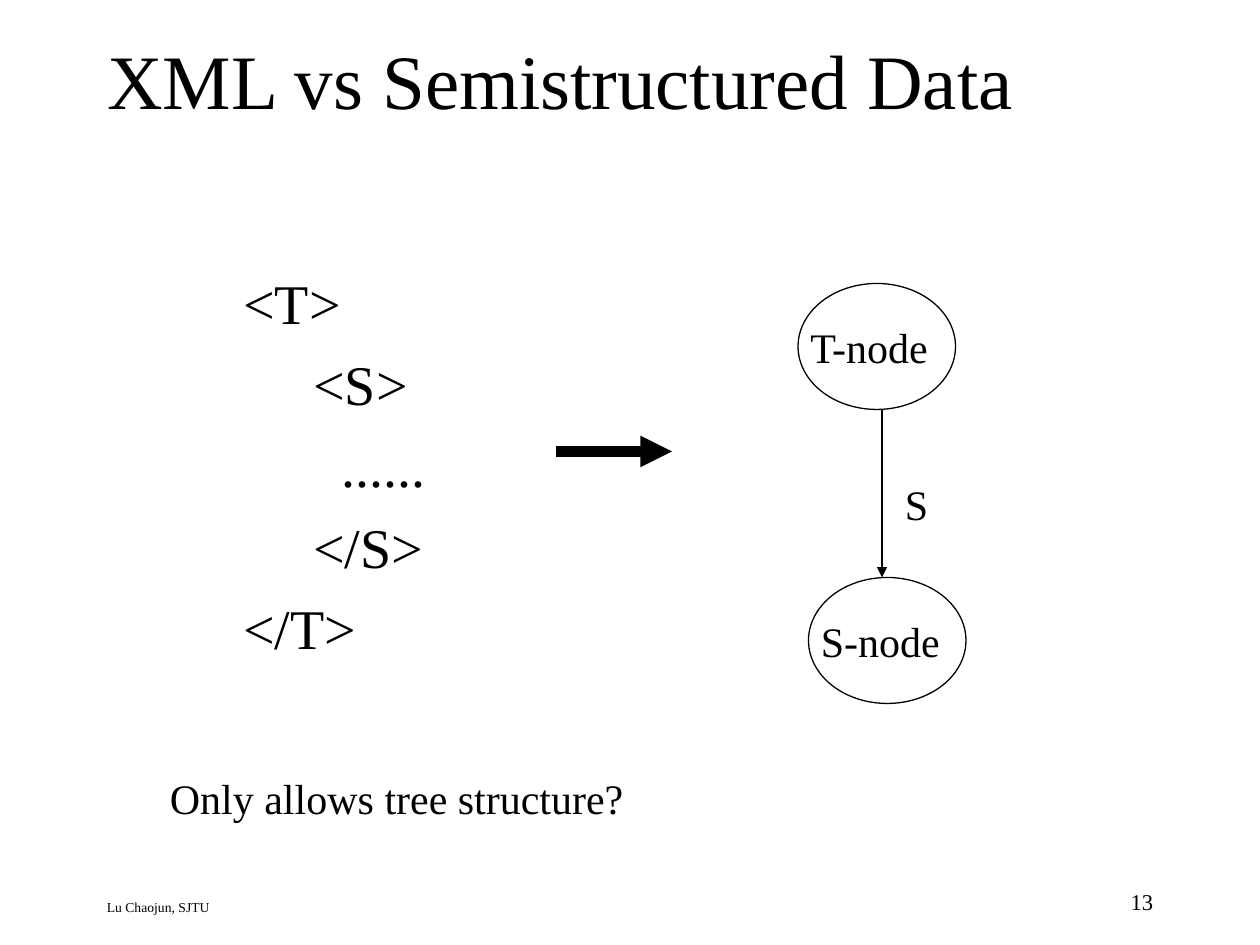
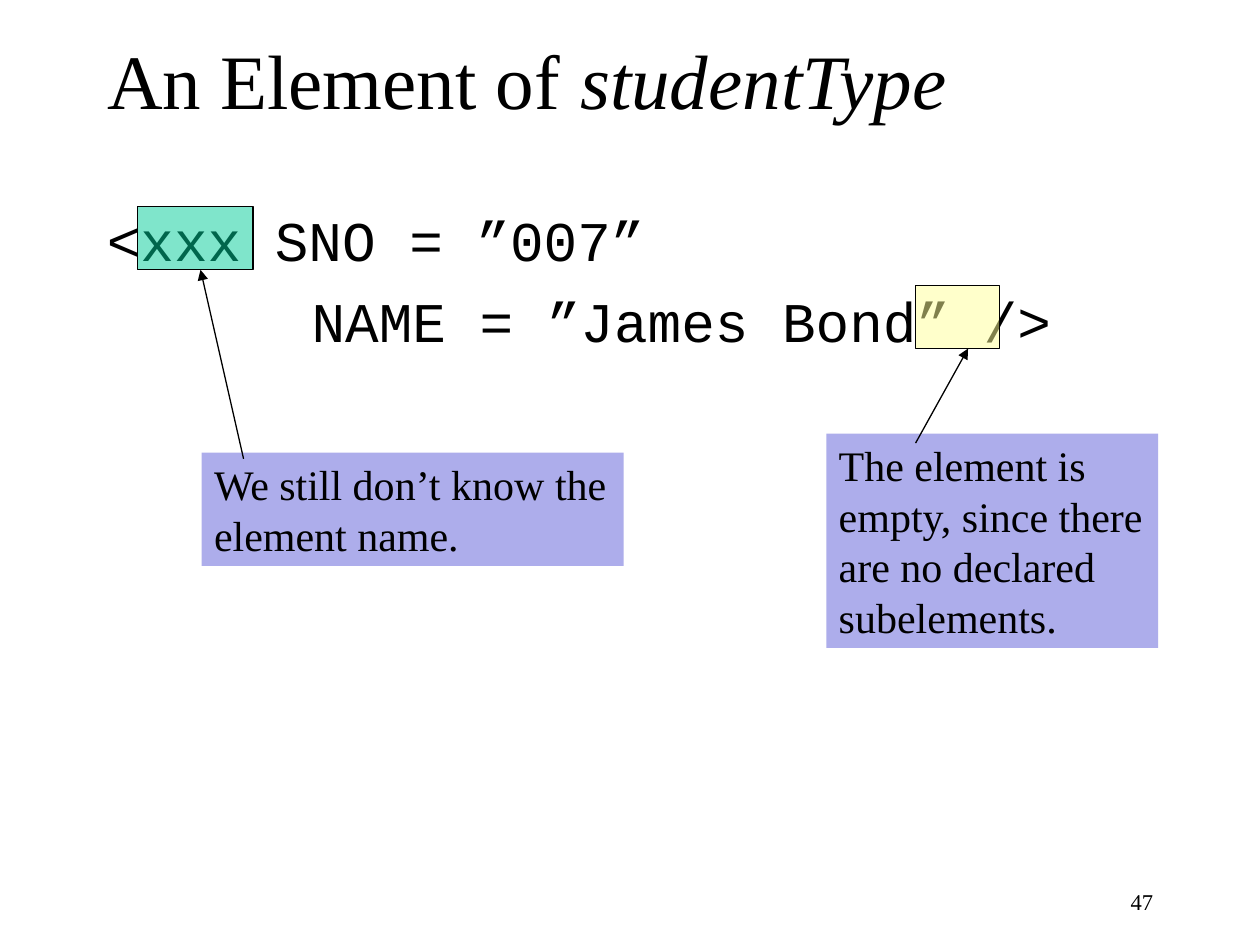
"""Build two slides on XML: semistructured data and a student element."""
from dataclasses import dataclass
from typing import Optional

import pptx
import pptx.dml.color
import pptx.enum.shapes
import pptx.enum.text
import pptx.oxml
import pptx.oxml.ns
import pptx.util

CELL = pptx.util.Inches(1 / 12)
SERIF, MONO = "Times New Roman", "Courier New"
BLACK, WHITE = "000000", "FFFFFF"
CALLOUT, GREEN, YELLOW = "ADADEB", "00CC99", "FFFF99"
TITLE_SIZE, CODE_SIZE, LABEL_SIZE = 44, 32, 24
LINE_PITCH = 1.2
OVAL = pptx.enum.shapes.MSO_SHAPE.OVAL
RECTANGLE = pptx.enum.shapes.MSO_SHAPE.RECTANGLE
LEFT, RIGHT = pptx.enum.text.PP_ALIGN.LEFT, pptx.enum.text.PP_ALIGN.RIGHT


@dataclass(frozen=True)
class Area:
    """Hold a rectangle in grid cells of a twelfth of an inch."""
    column: float
    row: float
    columns: float
    rows: float

    def lengths(self) -> list:
        """Return left, top, width and height as lengths."""
        return [grid(n) for n in (self.column, self.row, self.columns, self.rows)]


@dataclass(frozen=True)
class Line:
    """Hold one line of text and its indent in cells."""
    text: str
    indent: float = 0


@dataclass(frozen=True)
class Style:
    """Hold the look of a block of text."""
    size: float = LABEL_SIZE
    font: str = SERIF
    before: float = 0
    align: int = LEFT
    wrap: bool = True


@dataclass(frozen=True)
class Node:
    """Hold a tree node: its name and top left cell."""
    name: str
    column: float
    row: float


@dataclass(frozen=True)
class Arrow:
    """Hold an arrow from one cell position to another."""
    start: tuple
    end: tuple
    weight: float = 0.75


@dataclass(frozen=True)
class Remark:
    """Hold a callout, the area it marks and the arrow between them."""
    lines: tuple
    area: Area
    mark: Area
    mark_color: str
    arrow: Arrow


LABEL = Style(before=15)
CODE_SERIF = Style(CODE_SIZE, before=8)
CODE_MONO = Style(CODE_SIZE, MONO, before=8)
CALLOUT_TEXT = Style(wrap=False)


def grid(cells: float) -> int:
    """Convert grid cells to a length."""
    return round(cells * CELL)


def color(code: str) -> pptx.dml.color.RGBColor:
    """Convert a hex string to a colour."""
    return pptx.dml.color.RGBColor.from_string(code)


def add_span(para, text: str, size: float, font: str, italic: bool = False) -> None:
    """Add one run to a paragraph."""
    span = para.add_run()
    span.text = text
    span.font.size = pptx.util.Pt(size)
    span.font.name = font
    span.font.italic = italic
    span.font.color.rgb = color(BLACK)


def write(box, lines: tuple, style: Style) -> None:
    """Write lines as paragraphs in a shape."""
    frame = box.text_frame
    frame.word_wrap = style.wrap
    frame.vertical_anchor = pptx.enum.text.MSO_ANCHOR.TOP
    for number, line in enumerate(lines):
        para = frame.add_paragraph() if number else frame.paragraphs[0]
        para.alignment = style.align
        para.space_before = pptx.util.Pt(style.before)
        para.line_spacing = pptx.util.Pt(style.size * LINE_PITCH)
        if line.indent:
            para._p.get_or_add_pPr().set("marL", str(grid(line.indent)))
        add_span(para, line.text, style.size, style.font)


def add_text(page, area: Area, style: Style, *lines: Line) -> None:
    """Add a text box."""
    write(page.shapes.add_textbox(*area.lengths()), lines, style)


def add_figure(page, kind: int, area: Area, fill: str, outlined: bool = True,
               opacity: Optional[int] = None):
    """Add a filled preset shape."""
    figure = page.shapes.add_shape(kind, *area.lengths())
    figure.shadow.inherit = False
    figure.fill.solid()
    figure.fill.fore_color.rgb = color(fill)
    if opacity is not None:
        tint = figure._element.spPr.find(".//" + pptx.oxml.ns.qn("a:srgbClr"))
        tint.append(pptx.oxml.parse_xml(
            f'<a:alpha {pptx.oxml.ns.nsdecls("a")} val="{opacity * 1000}"/>'))
    if outlined:
        figure.line.color.rgb = color(BLACK)
        figure.line.width = pptx.util.Pt(0.75)
    else:
        figure.line.fill.background()
    return figure


def add_arrow(page, arrow: Arrow) -> None:
    """Add a straight arrow with a triangle at its end."""
    points = [grid(n) for n in (*arrow.start, *arrow.end)]
    line = page.shapes.add_connector(pptx.enum.shapes.MSO_CONNECTOR.STRAIGHT, *points)
    line.line.color.rgb = color(BLACK)
    line.line.width = pptx.util.Pt(arrow.weight)
    names = pptx.oxml.ns.nsdecls("a")
    line.line._get_or_add_ln().append(
        pptx.oxml.parse_xml(f'<a:tailEnd {names} type="triangle"/>'))
    line._element.spPr.append(pptx.oxml.parse_xml(f"<a:effectLst {names}/>"))


def add_page(deck, number: str, title: str, italic_title: str = ""):
    """Add a slide with its title and page number."""
    page = deck.slides.add_slide(deck.slide_layouts[5])
    box = page.shapes.title
    box.left, box.top, box.width, box.height = Area(9, 0, 102, 15).lengths()
    frame = box.text_frame
    frame.auto_size = pptx.enum.text.MSO_AUTO_SIZE.NONE
    frame.vertical_anchor = pptx.enum.text.MSO_ANCHOR.MIDDLE
    para = frame.paragraphs[0]
    para.alignment = LEFT
    add_span(para, title, TITLE_SIZE, SERIF)
    if italic_title:
        add_span(para, italic_title, TITLE_SIZE, SERIF, italic=True)
    add_text(page, Area(86, 84, 25, 4), Style(12.9, align=RIGHT), Line(number))
    return page


def add_node(page, node: Node) -> None:
    """Add an oval tree node with its name."""
    add_figure(page, OVAL, Area(node.column, node.row, 15, 12), WHITE)
    add_text(page, Area(node.column, node.row + 3, 16, 6), LABEL, Line(node.name))


def add_remark(page, remark: Remark) -> None:
    """Add a callout, its translucent mark and its arrow."""
    box = add_figure(page, RECTANGLE, remark.area, CALLOUT, outlined=False)
    write(box, tuple(Line(text) for text in remark.lines), CALLOUT_TEXT)
    add_figure(page, RECTANGLE, remark.mark, remark.mark_color, opacity=50)
    add_arrow(page, remark.arrow)


def build_tree_page(deck) -> None:
    """Build the slide that turns nested tags into a tree."""
    page = add_page(deck, "13", "XML vs Semistructured Data")
    add_text(page, Area(9, 85, 70, 3), Style(7.8), Line("Lu Chaojun, SJTU"))
    add_text(page, Area(22, 25, 35, 54), CODE_SERIF,
             Line("<T>"), Line("<S>", 6.67), Line("......", 9.33),
             Line("</S>", 6.67), Line("</T>"))
    for node in (Node("T-node", 76, 27), Node("S-node", 77, 55)):
        add_node(page, node)
    add_arrow(page, Arrow((84, 39), (84, 55)))
    add_text(page, Area(85, 45, 9, 6), LABEL, Line("S"))
    add_arrow(page, Arrow((53, 43), (64, 43), 6))
    add_text(page, Area(15, 73, 77, 6), LABEL, Line("Only allows tree structure?"))


def build_element_page(deck) -> None:
    """Build the slide that comments on one element."""
    page = add_page(deck, "47", "An Element of ", "studentType")
    add_text(page, Area(9, 19, 102, 61), CODE_MONO,
             Line("<xxx SNO = ”007”"), Line("NAME = ”James Bond” />", 19.5))
    remarks = (
        Remark(("We still don’t know the", "element name."),
               Area(19.2, 43.1, 40.2, 10.8), Area(13.1, 19.7, 11, 6), GREEN,
               Arrow((23.2, 43.7), (19.1, 25.7))),
        Remark(("The element is", "empty, since there", "are no declared", "subelements."),
               Area(78.7, 41.3, 31.6, 20.4), Area(87.2, 27.2, 8, 6), YELLOW,
               Arrow((87.2, 42.2), (92.2, 33.2))),
    )
    for remark in remarks:
        add_remark(page, remark)


def main() -> None:
    """Build and save the deck."""
    deck = pptx.Presentation()
    deck.slide_width, deck.slide_height = grid(120), grid(90)
    build_tree_page(deck)
    build_element_page(deck)
    deck.save("out.pptx")


if __name__ == "__main__":
    main()
